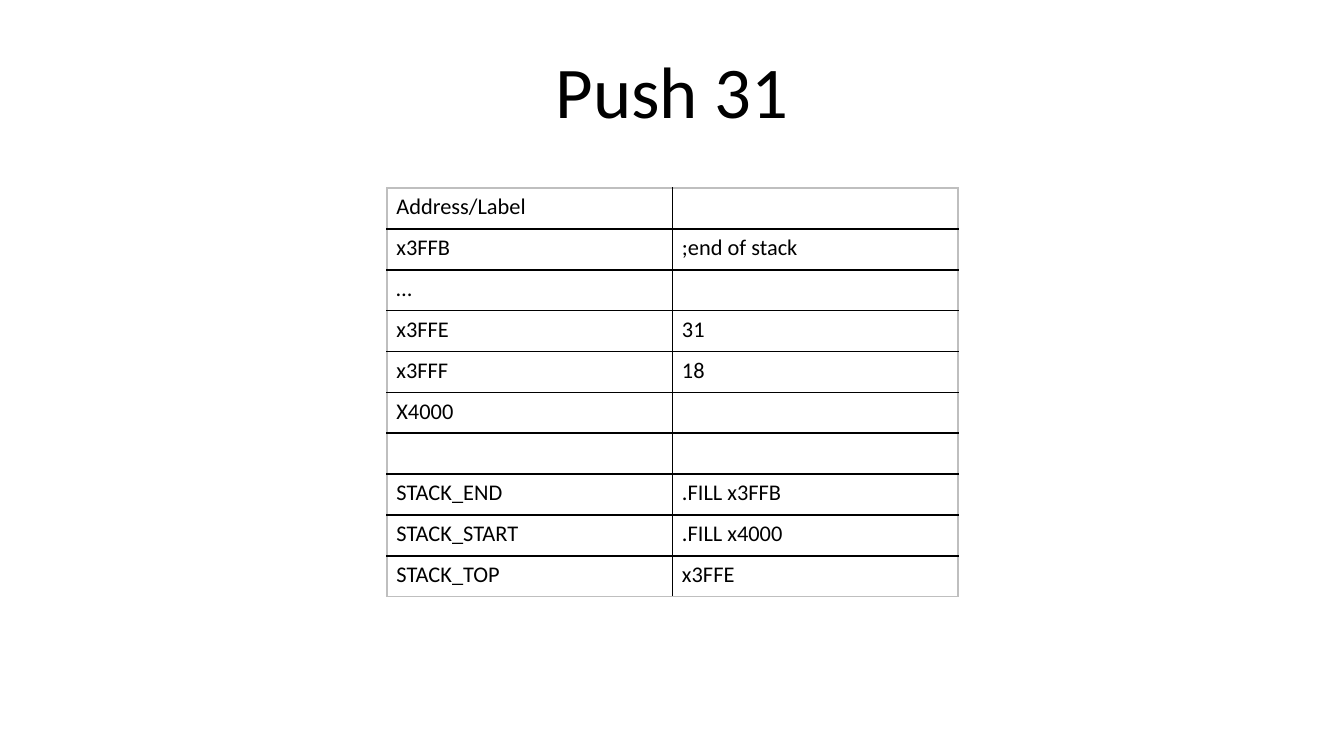
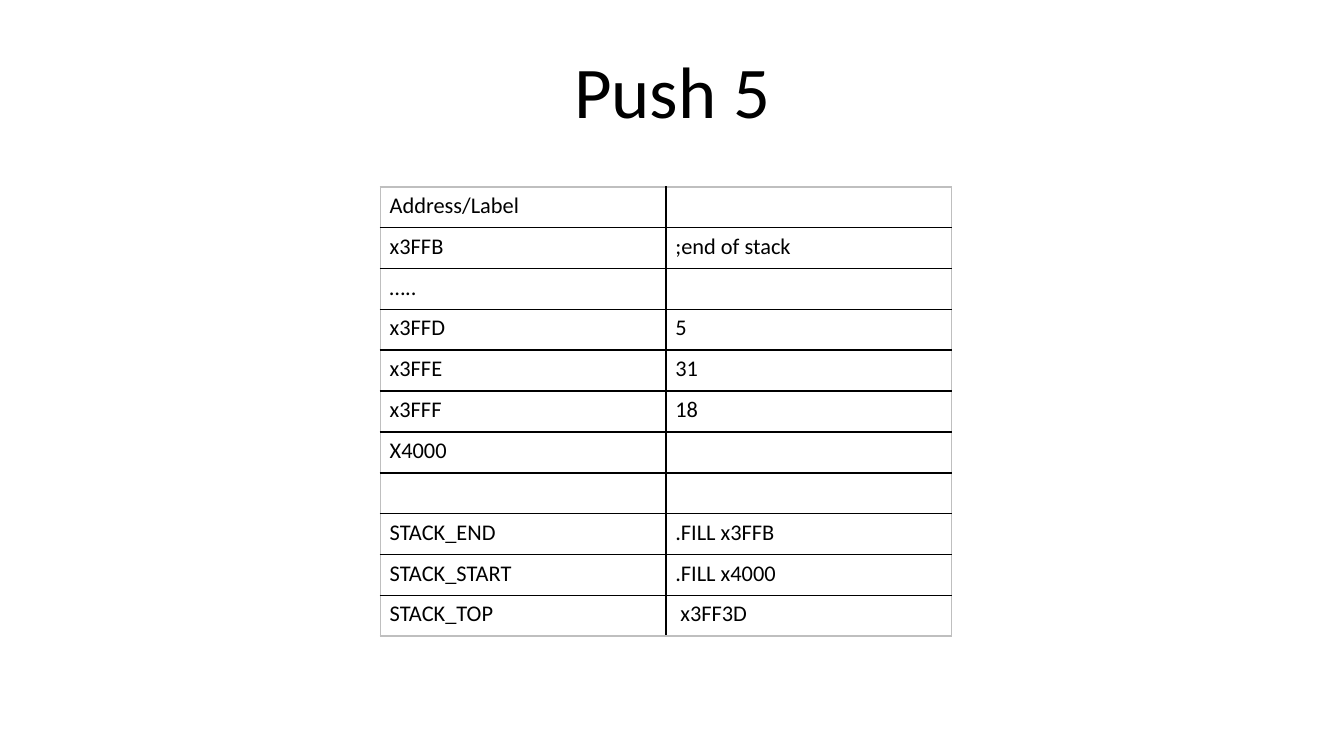
from lxml.etree import SubElement
from pptx import Presentation
from pptx.dml.color import RGBColor
from pptx.enum.text import MSO_ANCHOR, MSO_AUTO_SIZE, PP_ALIGN
from pptx.oxml.ns import qn
from pptx.util import Inches, Pt

INK = "000000"
EDGE = "BFBFBF"
WIDE = 10
COL, ROW = 4.25 / 2, 3.04 / 10

deck = Presentation()
deck.slide_width, deck.slide_height = Inches(WIDE), Inches(WIDE * 9 / 16)


def write(box, text, size=12, align=PP_ALIGN.LEFT):
    para = box.text_frame.paragraphs[0]
    para.alignment = align
    if text:
        run = para.add_run()
        run.text = text
        run.font.size = Pt(size)
        run.font.name = "Calibri"
        run.font.color.rgb = RGBColor.from_string(INK)
    else:
        SubElement(para._p, qn("a:endParaRPr"), sz=str(size * 100))


def border(cell, sides):
    props = cell._tc.get_or_add_tcPr()
    for spot, (side, outer) in enumerate(sides.items()):
        line = SubElement(props, qn(f"a:ln{side}"), w=str(Pt(1)))
        fill = SubElement(line, qn("a:solidFill"))
        SubElement(fill, qn("a:srgbClr"), val=EDGE if outer else INK)
        props.insert(spot, line)


head = [("Address/Label", ""), ("x3FFB", ";end of stack")]
base = [("x3FFE", "31"), ("x3FFF", "18"), ("X4000", ""), ("", ""),
        ("STACK_END", ".FILL x3FFB"), ("STACK_START", ".FILL x4000")]
pages = [
    ("Push 31", 2.88, 1.4,
     head + [("…", "")] + base + [("STACK_TOP", "x3FFE")]),
    ("Push 5", 2.83, 1.39,
     head + [("…..", ""), ("x3FFD", "5")] + base + [("STACK_TOP", " x3FF3D")]),
]

for name, left, top, rows in pages:
    slide = deck.slides.add_slide(deck.slide_layouts[5])
    title = slide.shapes.title
    title.left, title.top = Inches(0.69), Inches(0.3)
    title.width, title.height = Inches(8.62), Inches(1.09)
    frame = title.text_frame
    frame.auto_size = MSO_AUTO_SIZE.NONE
    frame.vertical_anchor = MSO_ANCHOR.TOP
    frame.margin_left = frame.margin_right = Inches(0.07)
    frame.margin_top = frame.margin_bottom = Inches(0.04)
    write(title, name, size=39, align=PP_ALIGN.CENTER)

    count = len(rows)
    table = slide.shapes.add_table(
        count, 2, Inches(left), Inches(top),
        Inches(2 * COL), Inches(count * ROW)).table
    table.first_row = table.horz_banding = False
    for col in table.columns:
        col.width = Inches(COL)
    for r, texts in enumerate(rows):
        table.rows[r].height = Inches(ROW)
        for c, text in enumerate(texts):
            cell = table.cell(r, c)
            write(cell, text)
            cell.margin_left = cell.margin_right = Inches(0.07)
            cell.margin_top = cell.margin_bottom = Inches(0.04)
            cell.fill.background()
            border(cell, {"L": c == 0, "R": c == 1,
                          "T": r == 0, "B": r == count - 1})

deck.save("out.pptx")
